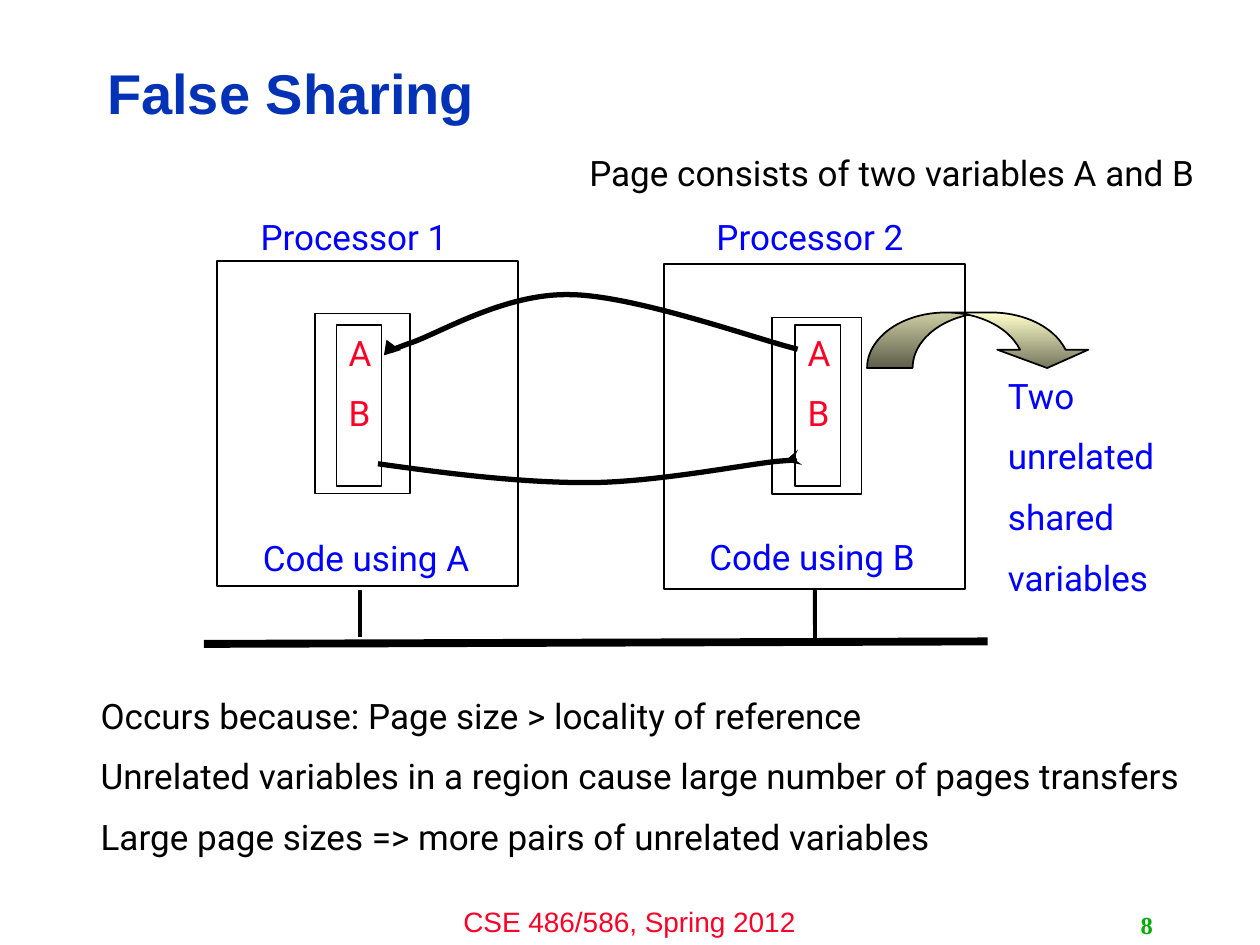
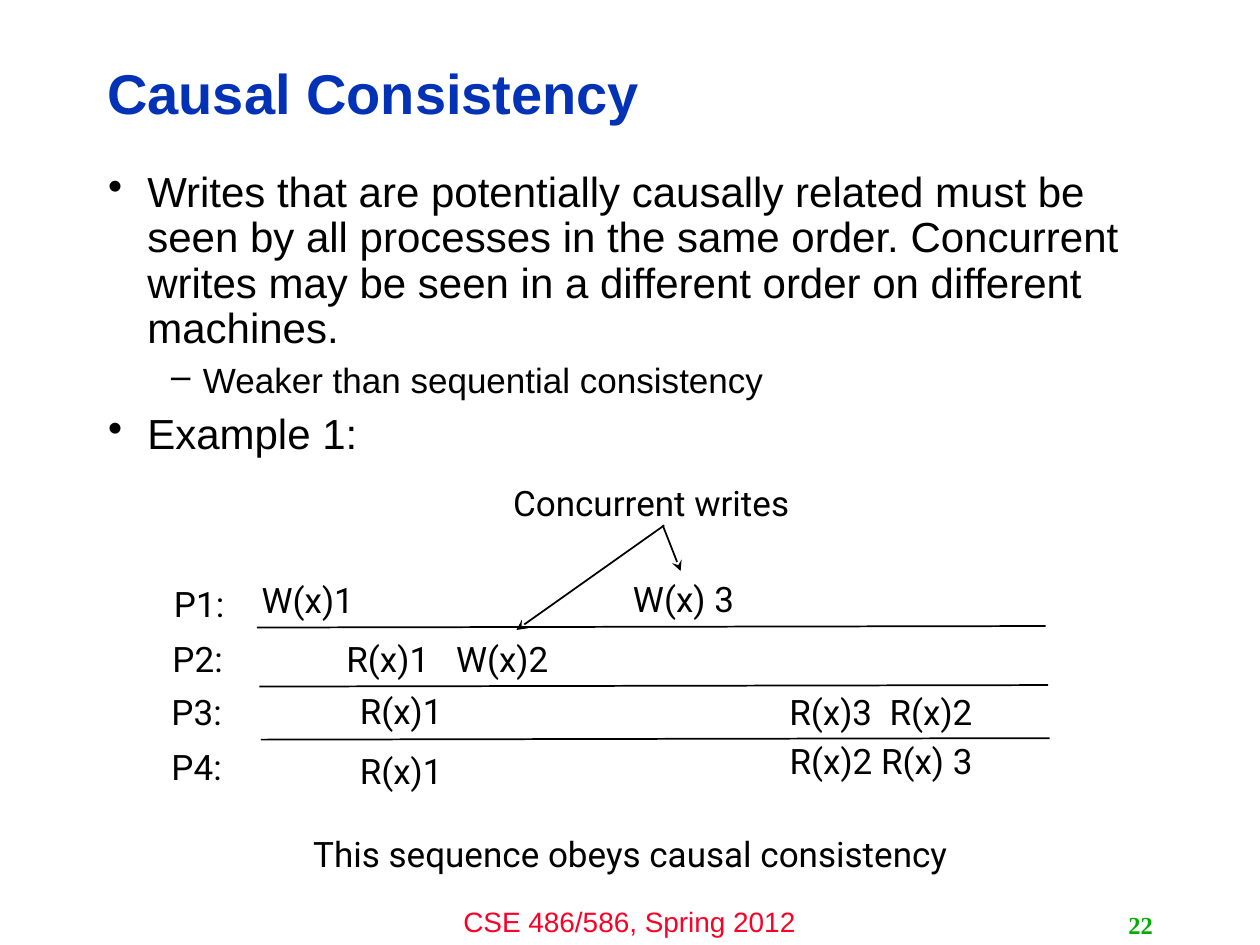
from dataclasses import dataclass

import pptx
import pptx.dml.color
import pptx.enum.shapes
import pptx.enum.text
import pptx.oxml.ns
import pptx.oxml.xmlchemy
import pptx.util

Cm = pptx.util.Cm
Pt = pptx.util.Pt
SHAPES = pptx.enum.shapes.MSO_SHAPE
ALIGN = pptx.enum.text.PP_ALIGN
ANCHOR = pptx.enum.text.MSO_ANCHOR
qn = pptx.oxml.ns.qn


@dataclass(frozen=True)
class Theme:
    black: str = "000000"
    title: str = "0332B7"
    red: str = "FC0128"
    blue: str = "0000FF"
    green: str = "00AE00"
    arrow_light: str = "FFFFCC"
    arrow_dark: str = "76765E"
    heading_font: str = "Arial"
    label_font: str = "Roboto"
    number_font: str = "Times New Roman"
    title_size: int = 32
    body_size: int = 24
    label_size: int = 20
    footer_size: int = 16
    number_size: int = 14
    label_gap: float = 10.7
    label_height: float = 1.12


def rgb(code):
    return pptx.dml.color.RGBColor.from_string(code)


def add_element(parent, tag, **attributes):
    element = pptx.oxml.xmlchemy.OxmlElement(tag)
    for name, value in attributes.items():
        element.set(name, value)
    parent.append(element)
    return element


class Deck:
    def __init__(self, theme):
        self.theme = theme
        self.presentation = pptx.Presentation()
        self.presentation.slide_width = Cm(25.4)
        self.presentation.slide_height = Cm(19.05)
        self.slide = None

    def start_slide(self, title, number):
        theme = self.theme
        self.slide = self.presentation.slides.add_slide(self.presentation.slide_layouts[6])
        self.text("CSE 486/586, Spring 2012", 8.46, 18.11, 8.46, 0.94, color=theme.red,
                  size=theme.footer_size, font=theme.heading_font, align=ALIGN.CENTER, wrap=True)
        heading = self.text(title, 1.91, 0.91, 20.27, 2.06, color=theme.title,
                            size=theme.title_size, font=theme.heading_font, bold=True,
                            anchor=ANCHOR.MIDDLE, wrap=True)
        heading.text_frame.paragraphs[0].line_spacing = 0.9
        self.text(str(number), 18.21, 18.24, 5.28, 0.81, color=theme.green,
                  size=theme.number_size, font=theme.number_font, bold=True,
                  align=ALIGN.RIGHT, anchor=ANCHOR.MIDDLE, wrap=True)

    def format_paragraph(self, paragraph, color, size, font, bold=False):
        for run in paragraph.runs:
            run.font.name = font
            run.font.size = Pt(size)
            run.font.bold = bold
            run.font.color.rgb = rgb(color)

    def fill_text(self, shape, content, color, size, font, align, bold=False):
        shape.text_frame.text = content
        for index, paragraph in enumerate(shape.text_frame.paragraphs):
            paragraph.alignment = align
            if index:
                paragraph.space_before = Pt(self.theme.label_gap)
            self.format_paragraph(paragraph, color, size, font, bold)

    def text(self, content, left, top, width, height=None, color=None, size=None, font=None,
             align=ALIGN.LEFT, anchor=ANCHOR.TOP, bold=False, wrap=False):
        theme = self.theme
        box = self.slide.shapes.add_textbox(Cm(left), Cm(top), Cm(width),
                                            Cm(height or theme.label_height))
        frame = box.text_frame
        frame.word_wrap = wrap
        frame.vertical_anchor = anchor
        if not wrap:
            frame.auto_size = pptx.enum.text.MSO_AUTO_SIZE.SHAPE_TO_FIT_TEXT
        self.fill_text(box, content, color or theme.black, size or theme.label_size,
                       font or theme.label_font, align, bold)
        return box

    def centered(self, content, left, top, width, color=None):
        return self.text(content, left, top, width, color=color, align=ALIGN.CENTER)

    def bullets(self, items, left, top, width, height):
        theme = self.theme
        levels = [("•", 0.79, 0.79, theme.body_size), ("–", 1.91, 0.64, theme.label_size)]
        box = self.slide.shapes.add_textbox(Cm(left), Cm(top), Cm(width), Cm(height))
        frame = box.text_frame
        frame.word_wrap = True
        frame.text = "\n".join(content for _, content in items)
        for index, (paragraph, (level, _)) in enumerate(zip(frame.paragraphs, items)):
            mark, margin, hang, size = levels[level]
            properties = paragraph._p.get_or_add_pPr()
            properties.set("marL", str(Cm(margin)))
            properties.set("indent", str(-Cm(hang)))
            add_element(properties, "a:buChar", char=mark)
            paragraph.level = level
            paragraph.line_spacing = 0.9
            if index:
                paragraph.space_before = Pt(0.3 * size)
            self.format_paragraph(paragraph, theme.black, size, theme.heading_font)

    def outline(self, shape, weight):
        shape.shadow.inherit = False
        shape.line.color.rgb = rgb(self.theme.black)
        shape.line.width = Pt(weight)

    def rectangle(self, left, top, width, height, weight=1.0, content=None):
        theme = self.theme
        shape = self.slide.shapes.add_shape(SHAPES.RECTANGLE, Cm(left), Cm(top),
                                            Cm(width), Cm(height))
        shape.fill.background()
        self.outline(shape, weight)
        if content:
            shape.text_frame.vertical_anchor = ANCHOR.TOP
            self.fill_text(shape, content, theme.red, theme.label_size, theme.label_font,
                           ALIGN.CENTER)
        return shape

    def curved_arrow(self, left, top, width, height):
        arrow = self.slide.shapes.add_shape(SHAPES.CURVED_DOWN_ARROW, Cm(left), Cm(top),
                                            Cm(width), Cm(height))
        for index, value in enumerate((0.82, 1.64, 0.33)):
            arrow.adjustments[index] = value
        arrow.fill.gradient()
        arrow.fill.gradient_angle = 270
        colors = (self.theme.arrow_light, self.theme.arrow_dark)
        for stop, position, color in zip(arrow.fill.gradient_stops, (0, 1), colors):
            stop.position = position
            stop.color.rgb = rgb(color)
        self.outline(arrow, 1)

    def line(self, start, end, weight=1.0, tail=None):
        connector = self.slide.shapes.add_connector(
            pptx.enum.shapes.MSO_CONNECTOR.STRAIGHT, *map(Cm, start + end))
        connector.line.color.rgb = rgb(self.theme.black)
        connector.line.width = Pt(weight)
        if tail:
            add_element(connector.line._get_or_add_ln(), "a:tailEnd", type=tail)
        add_element(connector._element.spPr, "a:effectLst")
        return connector

    def curve(self, points, end_tag, end_type):
        start, *controls = [(Cm(x), Cm(y)) for x, y in points]
        builder = self.slide.shapes.build_freeform(*start)
        builder.add_line_segments(controls, close=False)
        shape = builder.convert_to_shape()
        outline_path = next(shape._element.iter(qn("a:path")))
        segments = outline_path.findall(qn("a:lnTo"))
        for first in range(0, len(segments), 3):
            bezier = add_element(outline_path, "a:cubicBezTo")
            for segment in segments[first:first + 3]:
                bezier.append(segment[0])
                outline_path.remove(segment)
        shape.fill.background()
        self.outline(shape, 3)
        add_element(shape.line._get_or_add_ln(), end_tag, type=end_type)


def build_false_sharing(deck):
    blue = deck.theme.blue
    deck.start_slide("False Sharing", 8)

    deck.rectangle(4.37, 5.26, 6.07, 6.55)
    processor_2 = deck.rectangle(13.39, 5.33, 6.07, 6.55)
    deck.line((7.26, 11.89), (7.26, 12.85), 2.25)
    bus_link_2 = deck.line((16.43, 11.88), (16.43, 12.88), 2.25)
    bus_link_2.begin_connect(processor_2, 2)
    deck.line((4.11, 12.98), (19.91, 12.93), 4.5)

    deck.rectangle(6.35, 6.32, 1.91, 3.63)
    deck.rectangle(15.57, 6.4, 1.8, 3.56)
    for page_left in (6.78, 16.03):
        deck.rectangle(page_left, 6.55, 0.91, 3.25, 0.75, "A\nB")

    deck.centered("Processor 1", 4.98, 4.22, 4.32, blue)
    deck.centered("Processor 2", 14.17, 4.22, 4.32, blue)
    deck.text("Code using A", 5.05, 10.69, 4.75, color=blue)
    deck.text("Code using B", 14.05, 10.67, 4.8, color=blue)

    deck.curved_arrow(17.48, 6.3, 4.55, 1.12)
    deck.text("Two\nunrelated\nshared\nvariables", 20.07, 7.42, 3.48, 4.95, color=blue)

    deck.curve([(8.08, 7.06), (7.87, 7.09), (7.67, 7.14), (8.23, 6.93),
                (8.79, 6.76), (10.13, 5.92), (11.46, 5.94),
                (12.78, 5.94), (15.32, 6.86), (16.08, 7.04)], "a:headEnd", "triangle")
    deck.curve([(7.62, 9.35), (9.04, 9.55), (10.49, 9.73), (11.84, 9.73),
                (13.16, 9.73), (14.99, 9.37), (15.67, 9.3),
                (16.33, 9.25), (15.8, 9.3), (15.82, 9.3)], "a:tailEnd", "stealth")

    deck.text("Occurs because: Page size > locality of reference\n"
              "Unrelated variables in a region cause large number of pages transfers\n"
              "Large page sizes => more pairs of unrelated variables",
              1.78, 13.87, 22.58, 3.75)
    deck.text("Page consists of two variables A and B", 11.63, 2.92, 12.75)


def build_causal_consistency(deck):
    deck.start_slide("Causal Consistency", 22)
    deck.bullets([
        (0, "Writes that are potentially causally related must be seen by all processes in "
            "the same order. Concurrent writes may be seen in a different order on different "
            "machines."),
        (1, "Weaker than sequential consistency"),
        (0, "Example 1:"),
    ], 1.93, 3.33, 21.34, 13.69)

    for left, top in ((5.18, 12.65), (5.23, 13.84), (5.26, 14.91)):
        deck.line((left, top), (left + 15.9, top - 0.03))

    processes = ((3.23, 11.61), (3.2, 12.73), (3.18, 13.79), (3.18, 14.91))
    for number, (left, top) in enumerate(processes, 1):
        deck.centered(f"P{number}:", left, top, 1.57)

    operations = [
        ("W(x)1", 5, 11.53, 2.41),
        ("W(x) 3", 12.47, 11.51, 2.62),
        ("R(x)1", 6.69, 12.73, 2.26),
        ("W(x)2", 8.92, 12.73, 2.41),
        ("R(x)1", 6.96, 13.77, 2.26),
        ("R(x)1", 6.96, 14.99, 2.26),
        ("R(x)3", 15.62, 13.79, 2.26),
        ("R(x)2", 17.64, 13.79, 2.26),
        ("R(x)2 R(x) 3", 15.57, 14.78, 4.39),
    ]
    for operation in operations:
        deck.centered(*operation)

    deck.centered("This sequence obeys causal consistency", 5.99, 16.66, 13.44)
    deck.line((13.39, 10.59), (10.41, 12.7), tail="stealth")
    deck.line((13.36, 10.59), (13.72, 11.51), tail="stealth")
    deck.centered("Concurrent writes", 10.08, 9.58, 6.1)


def main():
    deck = Deck(Theme())
    build_false_sharing(deck)
    build_causal_consistency(deck)
    deck.presentation.save("out.pptx")


if __name__ == "__main__":
    main()
